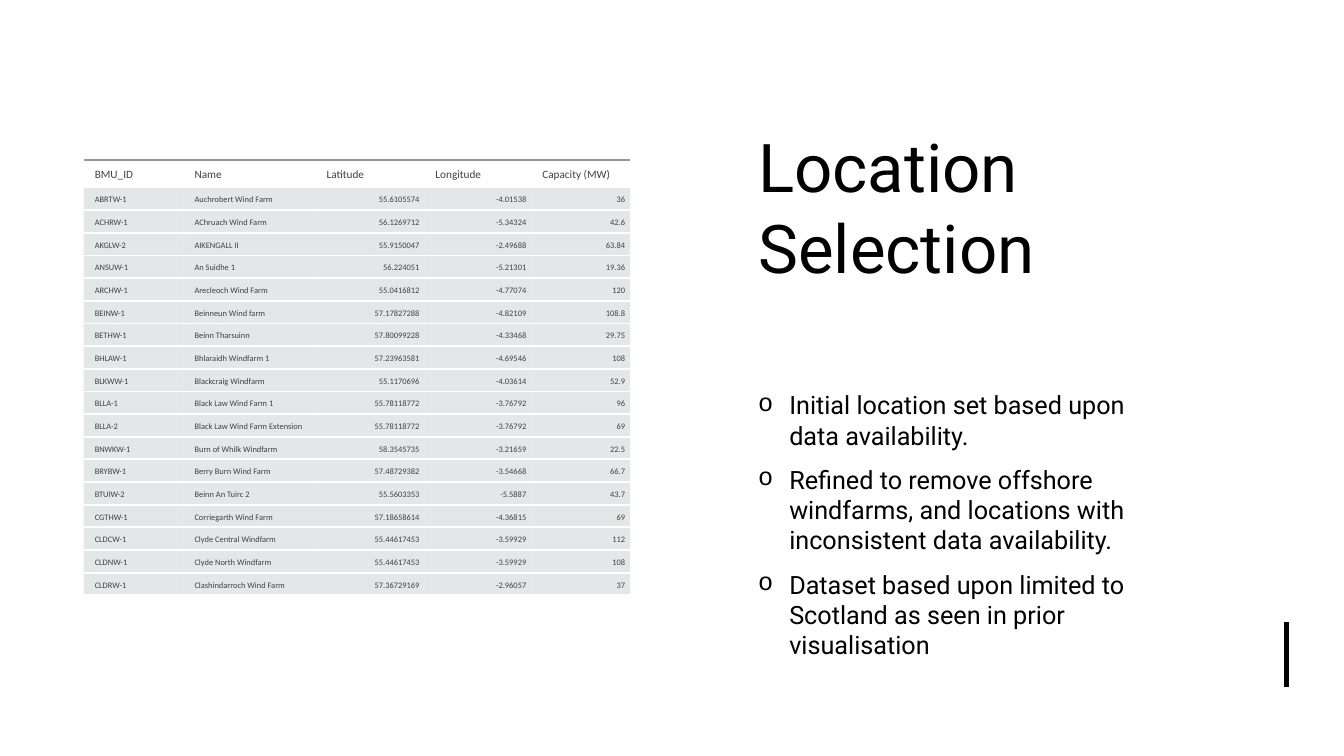
from lxml import etree
from pptx import Presentation
from pptx import util as u
from pptx.dml.color import RGBColor
from pptx.enum import shapes, text
from pptx.oxml import parse_xml
from pptx.oxml.ns import nsdecls, qn


def paint(fill, color, alpha=100):
    fill.solid()
    fill.fore_color.rgb = RGBColor.from_string(color)
    if alpha < 100:
        code = next(fill._xPr.iter(qn("a:srgbClr")))
        etree.SubElement(code, qn("a:alpha"), val=str(alpha * 1000))


def write(para, words, font="Roboto", size=18, color="000000", align=text.PP_ALIGN.LEFT):
    para.alignment = align
    span = para.add_run()
    span.text = words
    span.font.name = font
    span.font.size = u.Pt(size)
    paint(span.font.fill, color)


farms = [
    ("BMU_ID", "Name", "Latitude", "Longitude", "Capacity (MW)"),
    ("ABRTW-1", "Auchrobert Wind Farm", "55.6105574", "-4.01538", "36"),
    ("ACHRW-1", "AChruach Wind Farm", "56.1269712", "-5.34324", "42.6"),
    ("AKGLW-2", "AIKENGALL II", "55.9150047", "-2.49688", "63.84"),
    ("ANSUW-1", "An Suidhe 1", "56.224051", "-5.21301", "19.36"),
    ("ARCHW-1", "Arecleoch Wind Farm", "55.0416812", "-4.77074", "120"),
    ("BEINW-1", "Beinneun Wind farm", "57.17827288", "-4.82109", "108.8"),
    ("BETHW-1", "Beinn Tharsuinn", "57.80099228", "-4.33468", "29.75"),
    ("BHLAW-1", "Bhlaraidh Windfarm 1", "57.23963581", "-4.69546", "108"),
    ("BLKWW-1", "Blackcraig Windfarm", "55.1170696", "-4.03614", "52.9"),
    ("BLLA-1", "Black Law Wind Farm 1", "55.78118772", "-3.76792", "96"),
    ("BLLA-2", "Black Law Wind Farm Extension", "55.78118772", "-3.76792", "69"),
    ("BNWKW-1", "Burn of Whilk Windfarm", "58.3545735", "-3.21659", "22.5"),
    ("BRYBW-1", "Berry Burn Wind Farm", "57.48729382", "-3.54668", "66.7"),
    ("BTUIW-2", "Beinn An Tuirc 2", "55.5603353", "-5.5887", "43.7"),
    ("CGTHW-1", "Corriegarth Wind Farm", "57.18658614", "-4.36815", "69"),
    ("CLDCW-1", "Clyde Central Windfarm", "55.44617453", "-3.59929", "112"),
    ("CLDNW-1", "Clyde North Windfarm", "55.44617453", "-3.59929", "108"),
    ("CLDRW-1", "Clashindarroch Wind Farm", "57.36729169", "-2.96057", "37"),
]
widths = [0.99, 1.31, 1.08, 1.06, 0.98]
header_height, table_height = 0.27, 4.32
row_height = (table_height - header_height) / (len(farms) - 1)
points = [
    "Initial location set based upon data availability.",
    "Refined to remove offshore windfarms, and locations with inconsistent data availability.",
    "Dataset based upon limited to Scotland as seen in prior visualisation",
]
panels = [
    (0, 13.33, 2.78, "FFFFFF", 100),
    (0, 13.33, 7.5, "FFFFFF", 100),
    (12.19, 1.14, 7.5, "F0F3F3", 40),
    (6.97, 6.36, 7.5, "FFFFFF", 100),
]

deck = Presentation()
deck.slide_width = u.Inches(13.33)
deck.slide_height = u.Inches(7.5)
page = deck.slides.add_slide(deck.slide_layouts[5])
paint(page.background.fill, "FFFFFF")
title = page.shapes.title

for left, width, height, color, alpha in panels:
    panel = page.shapes.add_shape(
        shapes.MSO_SHAPE.RECTANGLE, u.Inches(left), 0, u.Inches(width), u.Inches(height))
    panel.shadow.inherit = False
    panel.line.fill.background()
    paint(panel.fill, color, alpha)
    title._element.addprevious(panel._element)

title.left, title.top = u.Inches(7.42), u.Inches(0.94)
title.width, title.height = u.Inches(4.34), u.Inches(2.21)
title.text_frame.word_wrap = True
title.text_frame.vertical_anchor = text.MSO_ANCHOR.MIDDLE
write(title.text_frame.paragraphs[0], "Location Selection", size=48)

box = page.shapes.add_textbox(u.Inches(7.42), u.Inches(3.59), u.Inches(4.34), u.Inches(3.23))
frame = box.text_frame
frame.word_wrap = True
frame.vertical_anchor = text.MSO_ANCHOR.MIDDLE
for index, point in enumerate(points):
    para = frame.add_paragraph() if index else frame.paragraphs[0]
    para.space_before = u.Pt(10)
    write(para, point)
    layout = para._p.get_or_add_pPr()
    layout.set("marL", str(u.Inches(0.31)))
    layout.set("indent", str(-u.Inches(0.31)))
    etree.SubElement(layout, qn("a:buFont"), typeface="Courier New")
    etree.SubElement(layout, qn("a:buChar"), char="o")

accent = page.shapes.add_connector(
    shapes.MSO_CONNECTOR.STRAIGHT, u.Inches(12.76), u.Inches(6.17), u.Inches(12.76), u.Inches(6.82))
paint(accent.line.fill, "000000")
accent.line.width = u.Pt(3)
etree.SubElement(accent._element.spPr, qn("a:effectLst"))

holder = page.shapes.add_table(
    len(farms), len(widths), u.Inches(0.83), u.Inches(1.59), u.Inches(5.41), u.Inches(table_height))
table = holder.table
table.first_row = False
table.horz_banding = False
table._tbl.tblPr.find(qn("a:tableStyleId")).text = "{2D5ABB26-0587-4C30-8999-92F81FD0307C}"
for column, width in zip(table.columns, widths):
    column.width = u.Inches(width)

for row, farm in enumerate(farms):
    header = row == 0
    table.rows[row].height = u.Inches(header_height if header else row_height)
    inset = u.Inches(0.06 if header else 0.05)
    for column, value in enumerate(farm):
        cell = table.cell(row, column)
        cell.vertical_anchor = text.MSO_ANCHOR.BOTTOM
        cell.margin_left = u.Inches(0.11)
        cell.margin_right = cell.margin_top = cell.margin_bottom = inset
        numeric = column > 1 and not header
        write(cell.text_frame.paragraphs[0], value, font="Calibri", size=8 if header else 6,
              color="404040", align=text.PP_ALIGN.RIGHT if numeric else text.PP_ALIGN.LEFT)
        if header:
            cell.fill.background()
        else:
            paint(cell.fill, "B4BCBE", 35)
        edges = [("lnT", "8F9A9D", 60) if header else ("lnT", "FFFFFF", 100), ("lnB", "FFFFFF", 100)]
        for place, (edge, color, alpha) in enumerate(edges):
            cell._tc.get_or_add_tcPr().insert(place, parse_xml(
                f'<a:{edge} {nsdecls("a")} w="{u.Pt(1.5)}"><a:solidFill><a:srgbClr val="{color}">'
                f'<a:alpha val="{alpha * 1000}"/></a:srgbClr></a:solidFill></a:{edge}>'))

deck.save("out.pptx")
